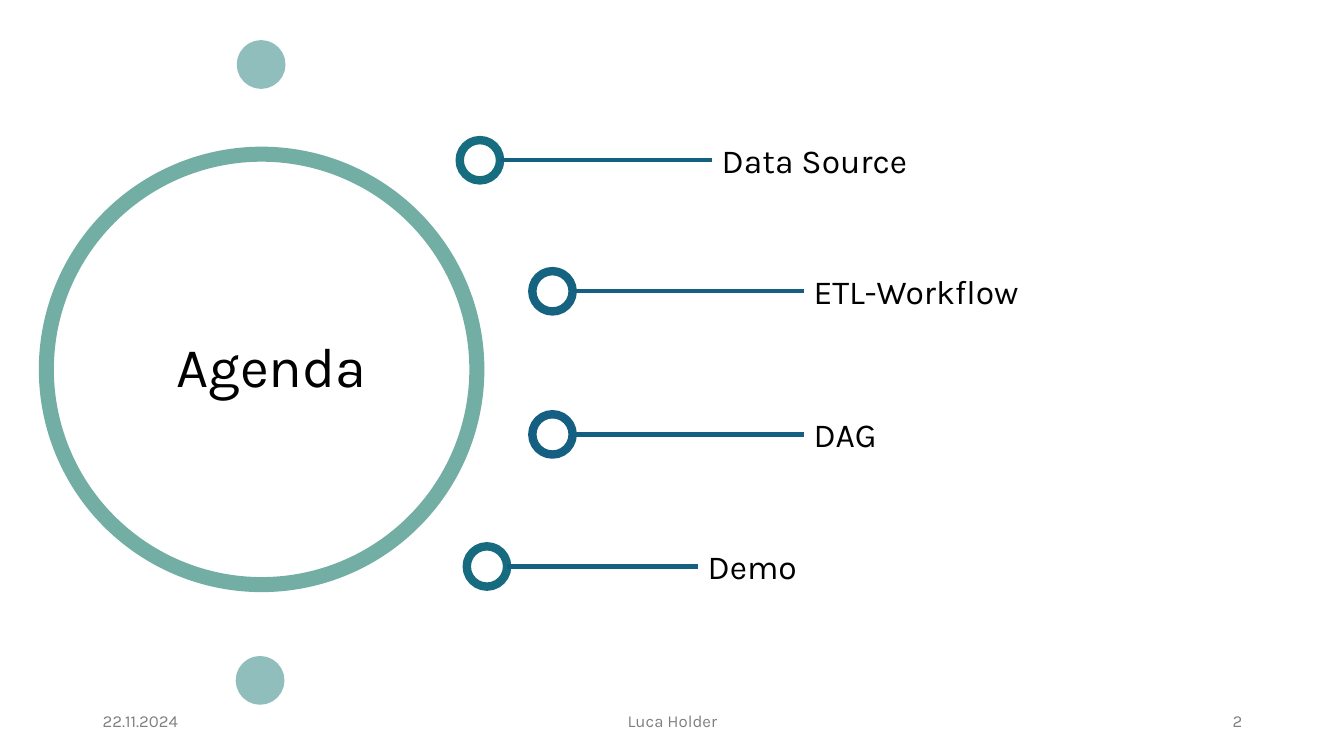
"""Build the agenda slide with a large ring and four labelled stops."""
import dataclasses

import pptx
import pptx.dml.color
import pptx.enum.shapes
import pptx.enum.text
import pptx.oxml
import pptx.util

Inches, Pt = pptx.util.Inches, pptx.util.Pt
RGB = pptx.dml.color.RGBColor.from_string
ALIGN = pptx.enum.text.PP_ALIGN
ANCHOR = pptx.enum.text.MSO_ANCHOR
FIT = pptx.enum.text.MSO_AUTO_SIZE


@dataclasses.dataclass(frozen=True)
class Theme:
    """Hold the colours, font and sizes in points."""
    font: str = "Karla"
    ink: str = "000000"
    grey: str = "808080"
    paper: str = "FFFFFF"
    ring: str = "73AEA4"
    dot: str = "90BEBC"
    line: str = "156082"
    title: int = 40
    label: int = 24
    foot: int = 12
    wide: float = 10.75
    rim: int = 6
    rule: int = 3


theme = Theme()
TITLE = ("Agenda", (1.65, 3.02, 2.3, 1.29))
RING = (0.46, 1.53, 4.27)
DOTS = [(2.39, 0.44), (2.38, 6.55)]
STOPS = [
    ("Data Source", 4.56, 1.39, 7.06, 4.98, "166D7F"),
    ("ETL-Workflow", 5.28, 2.69, 7.97, 4.15, "156381"),
    ("DAG", 5.28, 4.11, 7.97, 5.25, "156082"),
    ("Demo", 4.63, 5.42, 6.92, 4.15, "166B7F"),
]
FOOT = [
    ("22.11.2024", 0.92, 3, ALIGN.LEFT),
    ("Luca Holder", 4.42, 4.5, ALIGN.CENTER),
    ("2", 9.42, 3, ALIGN.RIGHT),
]
SIZE, TALL = 0.4, 0.5


def write(shape, text, size, color, align=ALIGN.LEFT, anchor=ANCHOR.MIDDLE):
    """Fill a shape with one styled paragraph and return it."""
    frame = shape.text_frame
    frame.text = text
    frame.word_wrap = True
    frame.vertical_anchor = anchor
    para = frame.paragraphs[0]
    para.alignment = align
    para.font.name, para.font.size = theme.font, Pt(size)
    para.font.color.rgb = RGB(color)
    return para


def circle(slide, left, top, size, line, width, fill=None):
    """Draw a circle, hollow unless a fill is given."""
    shape = slide.shapes.add_shape(
        pptx.enum.shapes.MSO_SHAPE.OVAL, *map(Inches, (left, top, size, size)))
    shape.shadow.inherit = False
    shape.line.color.rgb, shape.line.width = RGB(line), Pt(width)
    if fill:
        shape.fill.solid()
        shape.fill.fore_color.rgb = RGB(fill)
    else:
        shape.fill.background()


def stop(slide, text, left, top, start, width, color):
    """Draw one agenda stop: circle, label and joining line."""
    circle(slide, left, top, SIZE, color, theme.rim, theme.paper)
    mid = top + SIZE / 2
    label = slide.shapes.add_textbox(
        *map(Inches, (start, mid - TALL / 2, width, TALL)))
    write(label, text, theme.label, theme.ink, anchor=ANCHOR.TOP)
    label.text_frame.auto_size = FIT.SHAPE_TO_FIT_TEXT
    link = slide.shapes.add_connector(
        pptx.enum.shapes.MSO_CONNECTOR.STRAIGHT,
        *map(Inches, (left + SIZE, mid, start, mid)))
    link.end_connect(label, 1)
    link.line.color.rgb, link.line.width = RGB(theme.line), Pt(theme.rule)
    props = link._element.spPr
    props.append(pptx.oxml.parse_xml(
        '<a:effectLst xmlns:a='
        '"http://schemas.openxmlformats.org/drawingml/2006/main"/>'))


def main():
    """Compose and save the slide."""
    deck = pptx.Presentation()
    deck.slide_width, deck.slide_height = Inches(13.33), Inches(7.5)
    slide = deck.slides.add_slide(deck.slide_layouts[5])

    for text, left, width, align in FOOT:
        box = slide.shapes.add_textbox(*map(Inches, (left, 6.95, width, 0.4)))
        para = write(box, text, theme.foot, theme.grey, align)
        para.space_after = Pt(6)

    text, place = TITLE
    title = slide.shapes.title
    title.left, title.top, title.width, title.height = map(Inches, place)
    write(title, text, theme.title, theme.ink).line_spacing = 0.9
    title.text_frame.auto_size = FIT.NONE

    circle(slide, *RING, theme.ring, theme.wide)
    for left, top in DOTS:
        circle(slide, left, top, SIZE, theme.dot, theme.rim, theme.dot)
    for item in STOPS:
        stop(slide, *item)
    deck.save("out.pptx")


if __name__ == "__main__":
    main()
